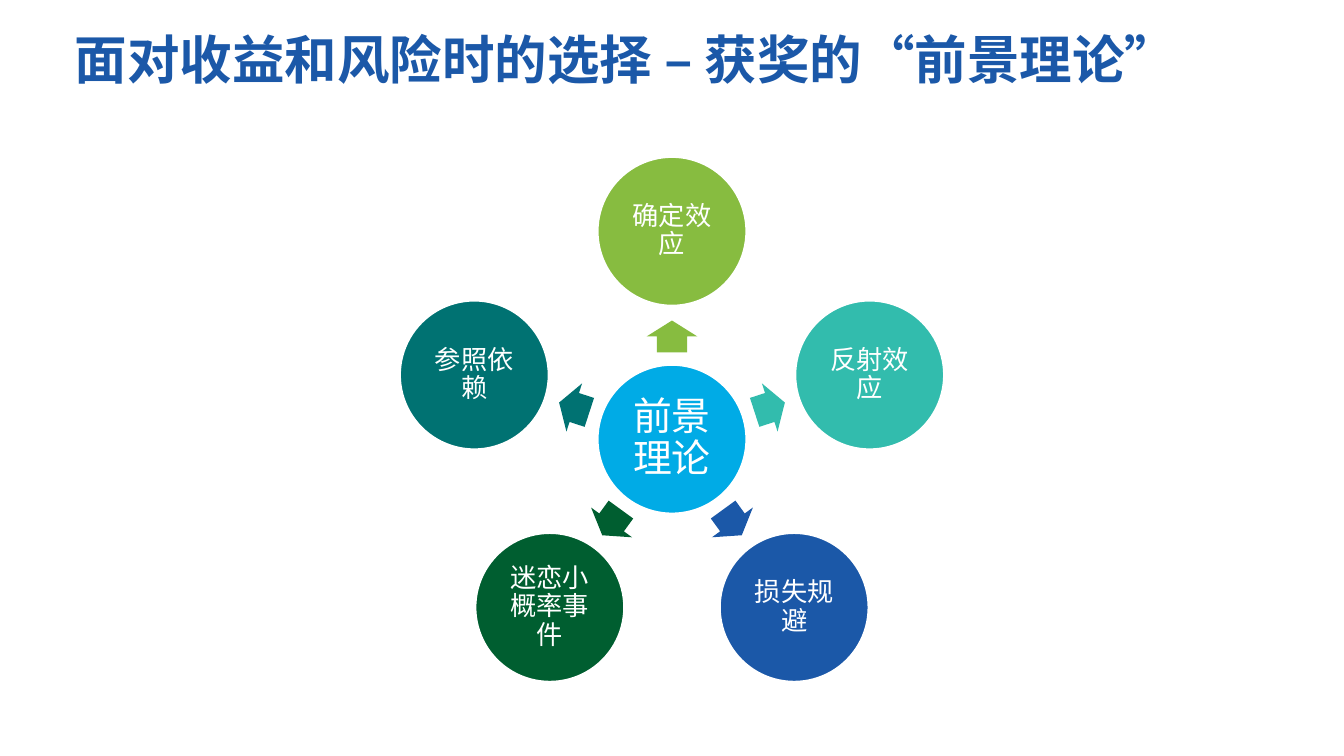
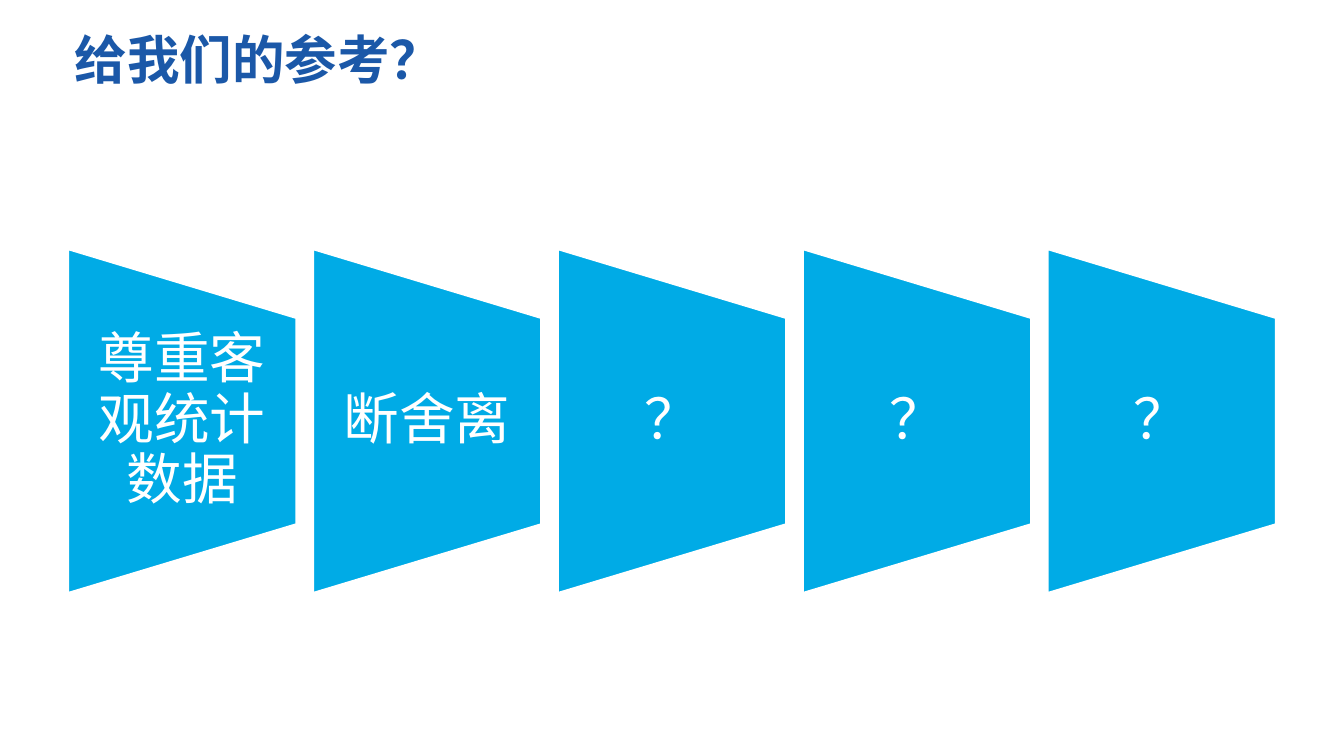
import math
from dataclasses import dataclass

import pptx
import pptx.util
from pptx.dml.color import RGBColor
from pptx.enum.shapes import MSO_SHAPE
from pptx.enum.text import MSO_ANCHOR, PP_ALIGN
from pptx.oxml.ns import qn
from pptx.util import Inches


@dataclass(frozen=True)
class Theme:
    font: str = "Noto Sans CJK SC"
    white: str = "FFFFFF"
    navy: str = "1B58A8"
    sky: str = "00ABE6"
    lime: str = "87BC40"
    aqua: str = "32BCAD"
    forest: str = "005E30"
    teal: str = "007272"
    title_size: int = 50
    hub_size: int = 37
    effect_size: int = 25
    panel_size: int = 53
    line_width: int = 2
    line_spacing: float = 0.9


THEME = Theme()


@dataclass(frozen=True)
class Effect:
    label: str
    color: str


@dataclass(frozen=True)
class TextStyle:
    size: int
    color: str = THEME.white
    bold: bool = False
    align: PP_ALIGN = PP_ALIGN.CENTER
    anchor: MSO_ANCHOR = MSO_ANCHOR.MIDDLE
    inset_x: float = 0.03
    inset_y: float = 0.03


TITLE = TextStyle(THEME.title_size, THEME.navy, True, PP_ALIGN.LEFT, MSO_ANCHOR.TOP, 0.1, 0.05)
HUB = TextStyle(THEME.hub_size, inset_x=0.05, inset_y=0.05)
EFFECT = TextStyle(THEME.effect_size)
PANEL = TextStyle(THEME.panel_size, inset_x=0.37, inset_y=0)

EFFECTS = [
    Effect("确定效应", THEME.lime),
    Effect("反射效应", THEME.aqua),
    Effect("损失规避", THEME.navy),
    Effect("迷恋小概率事件", THEME.forest),
    Effect("参照依赖", THEME.teal),
]
PANELS = ["尊重客观统计数据", "断舍离", "？", "？", "？"]


def write_text(sp, text: str, style: TextStyle) -> None:
    tf = sp.text_frame
    tf.word_wrap = True
    tf.vertical_anchor = style.anchor
    tf.margin_left = tf.margin_right = Inches(style.inset_x)
    tf.margin_top = tf.margin_bottom = Inches(style.inset_y)
    p = tf.paragraphs[0]
    p.alignment = style.align
    p.line_spacing = THEME.line_spacing
    r = p.add_run()
    r.text = text
    r.font.name = THEME.font
    r.font.size = pptx.util.Pt(style.size)
    r.font.bold = style.bold
    r.font.color.rgb = RGBColor.from_string(style.color)
    # East Asian glyphs take their own typeface setting
    rPr = r._r.get_or_add_rPr()
    rPr.set("lang", "zh-CN")
    ea = rPr.makeelement(qn("a:ea"), {"typeface": THEME.font})
    rPr.find(qn("a:latin")).addnext(ea)


def add_text(s, x: float, y: float, w: float, h: float, text: str, style: TextStyle) -> None:
    sp = s.shapes.add_textbox(Inches(x), Inches(y), Inches(w), Inches(h))
    write_text(sp, text, style)


def add_centred(s, kind: MSO_SHAPE, cx: float, cy: float, w: float, h: float,
                color: str, rotation: float = 0, outlined: bool = True):
    sp = s.shapes.add_shape(kind, Inches(cx - w / 2), Inches(cy - h / 2), Inches(w), Inches(h))
    sp.shadow.inherit = False
    sp.rotation = rotation
    sp.fill.solid()
    sp.fill.fore_color.rgb = RGBColor.from_string(color)
    if outlined:
        sp.line.color.rgb = RGBColor.from_string(THEME.white)
        sp.line.width = pptx.util.Pt(THEME.line_width)
    else:
        sp.line.fill.background()
    return sp


def add_titled_slide(prs, title: str):
    s = prs.slides.add_slide(prs.slide_layouts[6])
    add_text(s, 0.89, 0.4, 16, 1.67, title, TITLE)
    return s


def build_theory(prs) -> None:
    s = add_titled_slide(prs, "面对收益和风险时的选择 – 获奖的“前景理论”")
    cx, cy, diameter = 8.89, 5.81, 1.97
    ring_radius, arrow_radius = 2.75, 1.36

    # Hub
    hub = add_centred(s, MSO_SHAPE.OVAL, cx, cy, diameter, diameter, THEME.sky)
    write_text(hub, "前景理论", HUB)

    # Effects, clockwise from the top, each with an arrow pointing outwards
    step = 360 / len(EFFECTS)
    for i, effect in enumerate(EFFECTS):
        angle = (270 + i * step) % 360
        dx, dy = math.cos(math.radians(angle)), math.sin(math.radians(angle))
        arrow = add_centred(s, MSO_SHAPE.RIGHT_ARROW, cx + arrow_radius * dx,
                            cy + arrow_radius * dy, 0.42, 0.67, effect.color, angle, False)
        arrow.adjustments[0] = 0.6
        arrow.adjustments[1] = 0.5
        circle = add_centred(s, MSO_SHAPE.OVAL, cx + ring_radius * dx,
                             cy + ring_radius * dy, diameter, diameter, effect.color)
        write_text(circle, effect.label, EFFECT)


def build_lessons(prs) -> None:
    s = add_titled_slide(prs, "给我们的参考？")
    left, cy, pitch = 0.9, 5.57, 3.24
    width, height, text_height = 3.02, 4.55, 2.73

    # Row of panels turned on their side, with upright text on top
    for i, label in enumerate(PANELS):
        x = left + i * pitch
        add_centred(s, MSO_SHAPE.FLOWCHART_MANUAL_OPERATION, x + width / 2, cy,
                    height, width, THEME.sky, 270)
        add_text(s, x, cy - text_height / 2, width, text_height, label, PANEL)


def main() -> None:
    prs = pptx.Presentation()
    prs.slide_width, prs.slide_height = Inches(17.78), Inches(10)
    build_theory(prs)
    build_lessons(prs)
    prs.save("out.pptx")


if __name__ == "__main__":
    main()
